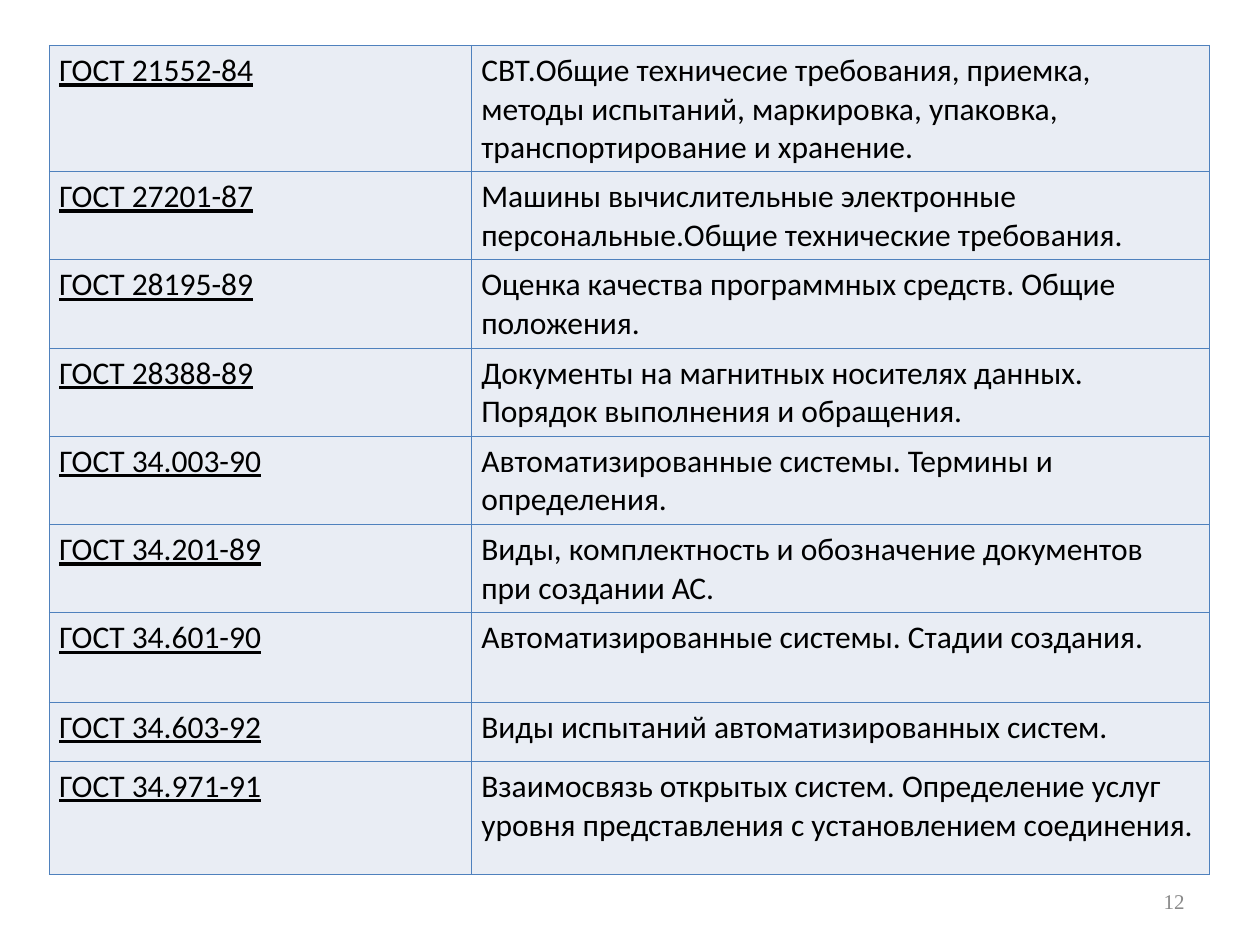
"""Build a slide with a table of GOST standards and a page number."""
from lxml.etree import SubElement
from pptx import Presentation
from pptx.dml.color import RGBColor as RGB
from pptx.enum.text import MSO_ANCHOR as ANCHOR, PP_ALIGN as ALIGN
from pptx.oxml.ns import qn
from pptx.util import Inches, Pt

COLORS = {"text": "000000", "fill": "E9EDF4", "border": "4F81BD", "number": "898989"}
COLS = [3.35, 5.86]
ROWS = [
    (0.9, "ГОСТ 21552-84", "СВТ.Общие техничесие требования, приемка, методы испытаний, "
     "маркировка, упаковка, транспортирование и хранение."),
    (0.67, "ГОСТ 27201-87", "Машины вычислительные электронные персональные.Общие "
     "технические требования."),
    (0.67, "ГОСТ 28195-89", "Оценка качества программных средств. Общие положения."),
    (0.67, "ГОСТ 28388-89", "Документы на магнитных носителях данных. Порядок выполнения "
     "и обращения."),
    (0.7, "ГОСТ 34.003-90", "Автоматизированные системы. Термины и определения."),
    (0.6, "ГОСТ 34.201-89", "Виды, комплектность и обозначение документов при создании АС."),
    (0.71, "ГОСТ 34.601-90", "Автоматизированные системы. Стадии создания."),
    (0.47, "ГОСТ 34.603-92", "Виды испытаний автоматизированных систем."),
    (0.9, "ГОСТ 34.971-91", "Взаимосвязь открытых систем. Определение услуг уровня "
     "представления с установлением соединения."),
]


def style(par, font, size, color):
    for run in par.runs:
        run.font.name = font
        run.font.size = Pt(size)
        run.font.color.rgb = RGB.from_string(COLORS[color])


def outline(cell):
    props = cell._tc.get_or_add_tcPr()
    for side in ("a:lnL", "a:lnR", "a:lnT", "a:lnB"):
        line = SubElement(props, qn(side), w=str(Pt(0.45)))
        fill = SubElement(line, qn("a:solidFill"))
        SubElement(fill, qn("a:srgbClr"), val=COLORS["border"])


prs = Presentation()
prs.slide_width, prs.slide_height = Inches(10), Inches(7.5)
slide = prs.slides.add_slide(prs.slide_layouts[6])

box = slide.shapes.add_textbox(Inches(7.17), Inches(6.95), Inches(2.33), Inches(0.4))
frame = box.text_frame
frame.word_wrap = True
frame.vertical_anchor = ANCHOR.MIDDLE
frame.text = "12"
frame.paragraphs[0].alignment = ALIGN.RIGHT
style(frame.paragraphs[0], "Times New Roman", 12, "number")

height = sum(row[0] for row in ROWS)
table = slide.shapes.add_table(len(ROWS), len(COLS), Inches(0.39), Inches(0.36),
                               Inches(sum(COLS)), Inches(height)).table
table.first_row = table.horz_banding = False
for col, width in zip(table.columns, COLS):
    col.width = Inches(width)

for row, (height, *texts) in zip(table.rows, ROWS):
    row.height = Inches(height)
    for cell, text in zip(row.cells, texts):
        cell.margin_left = cell.margin_right = Inches(0.08)
        cell.margin_top = cell.margin_bottom = Inches(0.05)
        outline(cell)
        cell.fill.solid()
        cell.fill.fore_color.rgb = RGB.from_string(COLORS["fill"])
        cell.text_frame.text = text
        style(cell.text_frame.paragraphs[0], "Calibri", 18, "text")
    row.cells[0].text_frame.paragraphs[0].runs[0].font.underline = True

prs.save("out.pptx")
